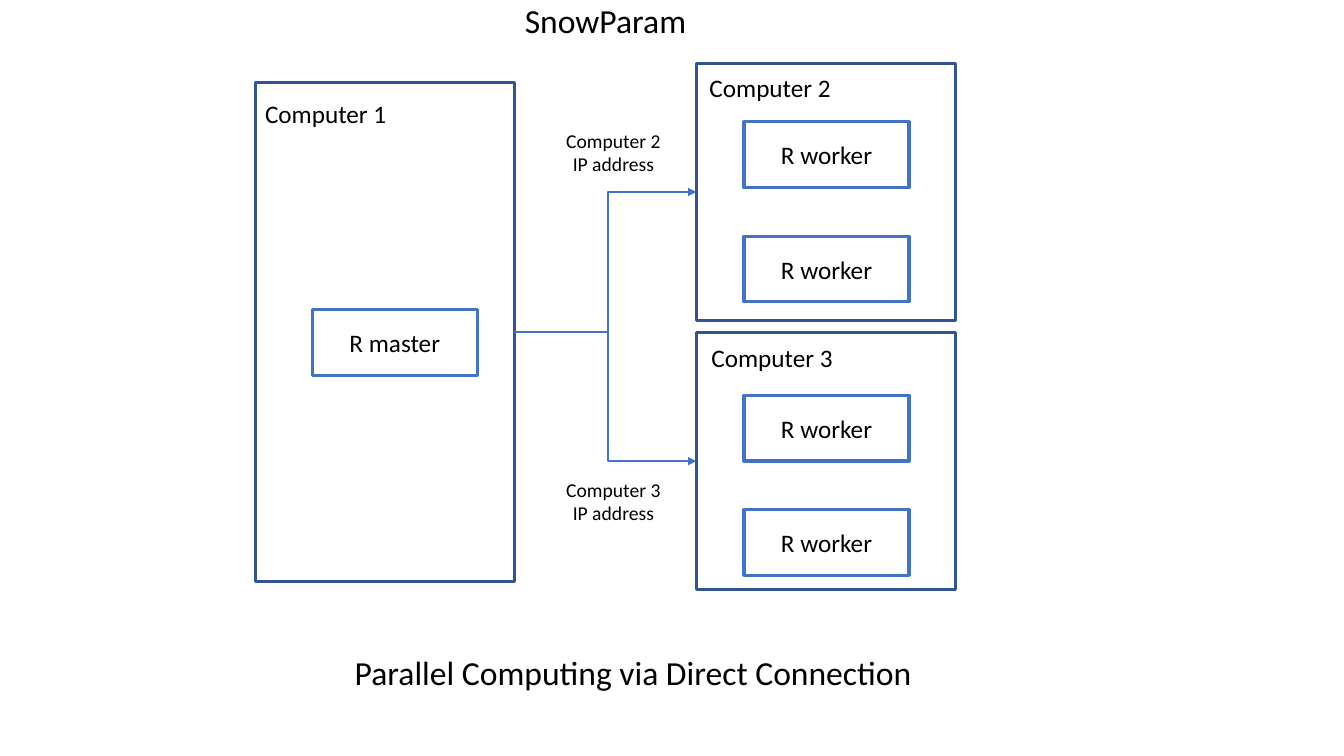
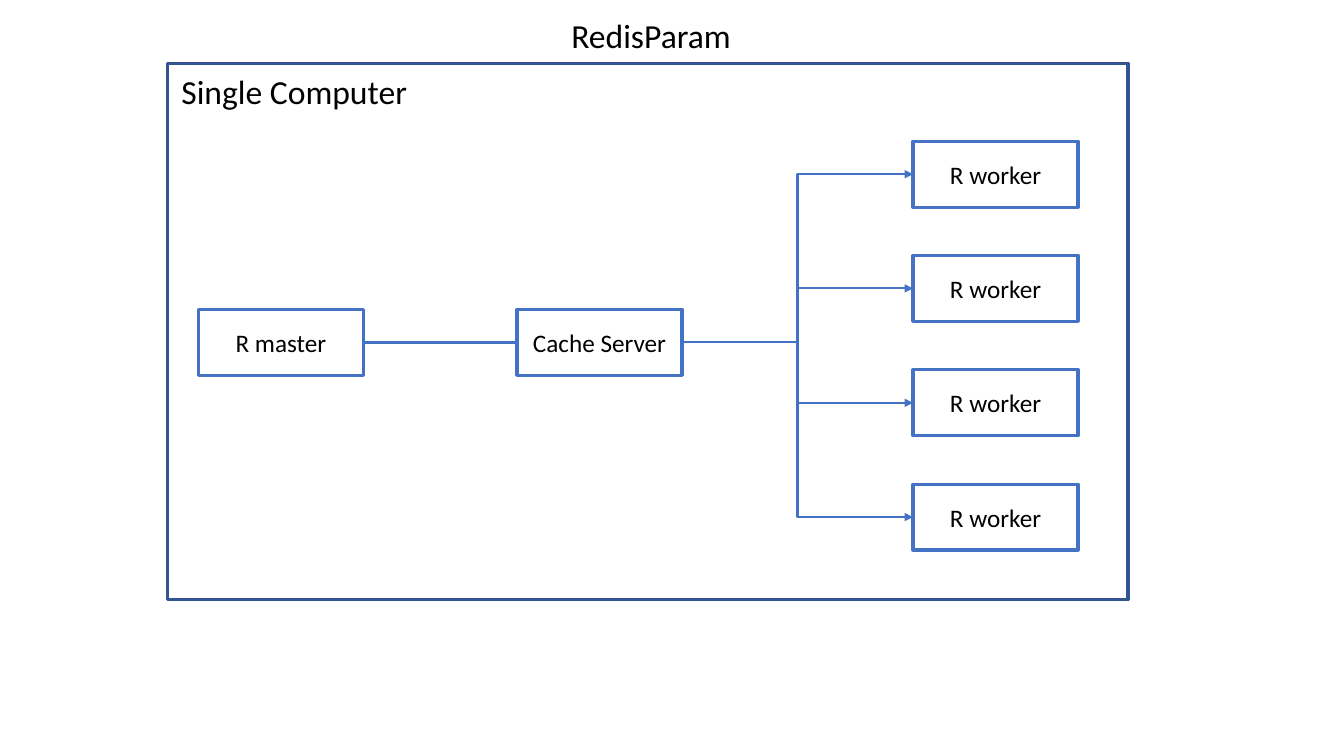
from dataclasses import dataclass

from lxml import etree
from pptx import Presentation
from pptx.dml.color import RGBColor
from pptx.enum import shapes, text
from pptx.oxml import ns
from pptx.shapes.autoshape import Shape
from pptx.shapes.connector import Connector
from pptx.slide import Slide
from pptx.util import Cm, Pt

# Shared style
FONT = "Calibri"
INK, PAPER = "000000", "FFFFFF"
NODE_LINE, COMPUTER_LINE = "4472C4", "325491"
HEADING, BODY, SMALL = 24, 18, 14
NODE_WIDTH, NODE_HEIGHT, WORKER_PITCH = 4.16, 1.66, 2.88
LABEL_HEIGHT, HEADING_HEIGHT, ADDRESS_HEIGHT = 1.02, 1.27, 1.45
LEFT_SITE, RIGHT_SITE = 1, 3
LEFT, CENTER = text.PP_ALIGN.LEFT, text.PP_ALIGN.CENTER


@dataclass(frozen=True)
class Box:
    """A rectangle in centimetres."""
    left: float
    top: float
    width: float
    height: float

    def lengths(self) -> tuple[Cm, Cm, Cm, Cm]:
        return Cm(self.left), Cm(self.top), Cm(self.width), Cm(self.height)


@dataclass(frozen=True)
class Label:
    wording: str
    box: Box
    size: int = BODY
    align: text.PP_ALIGN = LEFT
    wrap: bool = False


@dataclass(frozen=True)
class Host:
    """A computer running workers, with its name and address."""
    name: str
    box: Box
    name_left: float
    name_top: float
    address_top: float
    workers_top: float


def colour(value: str) -> RGBColor:
    return RGBColor.from_string(value)


def write(frame: text.MSO_ANCHOR, wording: str, size: int, align: text.PP_ALIGN) -> None:
    frame.text = wording
    for paragraph in frame.paragraphs:
        paragraph.alignment = align
        paragraph.font.name = FONT
        paragraph.font.size = Pt(size)
        paragraph.font.color.rgb = colour(INK)


def add_label(slide: Slide, label: Label) -> None:
    frame = slide.shapes.add_textbox(*label.box.lengths()).text_frame
    frame.word_wrap = label.wrap
    frame.auto_size = text.MSO_AUTO_SIZE.SHAPE_TO_FIT_TEXT
    write(frame, label.wording, label.size, label.align)


def add_rectangle(slide: Slide, box: Box, line: str) -> Shape:
    rectangle = slide.shapes.add_shape(shapes.MSO_SHAPE.RECTANGLE, *box.lengths())
    rectangle.shadow.inherit = False
    rectangle.line.color.rgb = colour(line)
    rectangle.line.width = Pt(2.25)
    return rectangle


def add_computer(slide: Slide, box: Box) -> Shape:
    computer = add_rectangle(slide, box, COMPUTER_LINE)
    computer.fill.background()
    return computer


def add_node(slide: Slide, wording: str, left: float, top: float) -> Shape:
    node = add_rectangle(slide, Box(left, top, NODE_WIDTH, NODE_HEIGHT), NODE_LINE)
    node.fill.solid()
    node.fill.fore_color.rgb = colour(PAPER)
    node.text_frame.vertical_anchor = text.MSO_ANCHOR.MIDDLE
    write(node.text_frame, wording, BODY, CENTER)
    return node


def add_workers(slide: Slide, count: int, left: float, top: float) -> list[Shape]:
    return [add_node(slide, "R worker", left, top + row * WORKER_PITCH)
            for row in range(count)]


def add_link(slide: Slide, source: Shape, target: Shape,
             kind: shapes.MSO_CONNECTOR) -> Connector:
    link = slide.shapes.add_connector(kind, 0, 0, 0, 0)
    link.begin_connect(source, RIGHT_SITE)
    link.end_connect(target, LEFT_SITE)
    link.line.color.rgb = colour(NODE_LINE)
    link.line.width = Pt(1.5)
    etree.SubElement(link._element.spPr, ns.qn("a:effectLst"))
    return link


def add_branch(slide: Slide, source: Shape, target: Shape, bend: float = 0.5) -> None:
    """Elbow arrow that turns at the given share of its width."""
    branch = add_link(slide, source, target, shapes.MSO_CONNECTOR.ELBOW)
    etree.SubElement(branch.line._get_or_add_ln(), ns.qn("a:tailEnd"), type="triangle")
    adjustments = branch._element.spPr.find(ns.qn("a:prstGeom")).get_or_add_avLst()
    etree.SubElement(adjustments, ns.qn("a:gd"), name="adj1",
                     fmla=f"val {round(bend * 100000)}")


def build_direct_connection(slide: Slide) -> None:
    add_label(slide, Label("SnowParam", Box(12.95, -0.13, 4.62, HEADING_HEIGHT),
                           HEADING, CENTER))
    add_label(slide, Label("Parallel Computing via Direct Connection",
                           Box(8.69, 16.31, 14.68, HEADING_HEIGHT), HEADING))

    # Master computer
    master_computer = add_computer(slide, Box(6.43, 2.08, 6.53, 12.57))
    add_label(slide, Label("Computer 1", Box(6.43, 2.36, 3.61, LABEL_HEIGHT)))
    add_node(slide, "R master", 7.87, 7.8)

    # Worker computers, each reached by its address
    hosts = [
        Host("Computer 2", Box(17.55, 1.6, 6.53, 6.48), 17.63, 1.7, 3.12, 3.07),
        Host("Computer 3", Box(17.55, 8.38, 6.53, 6.48), 17.68, 8.51, 11.91, 9.96),
    ]
    for host in hosts:
        computer = add_computer(slide, host.box)
        add_label(slide, Label(host.name, Box(host.name_left, host.name_top,
                                              3.61, LABEL_HEIGHT)))
        add_workers(slide, 2, 18.75, host.workers_top)
        add_branch(slide, master_computer, computer, bend=0.516)
        add_label(slide, Label(f"{host.name}\nIP address",
                               Box(13.34, host.address_top, 4.24, ADDRESS_HEIGHT),
                               SMALL, CENTER, wrap=True))


def build_server_connection(slide: Slide) -> None:
    add_label(slide, Label("RedisParam", Box(14.15, 0.25, 5.21, HEADING_HEIGHT),
                           HEADING, wrap=True))

    # Enclosing computer
    add_computer(slide, Box(4.22, 1.6, 24.21, 13.51))
    add_label(slide, Label("Single Computer", Box(4.29, 1.65, 6.25, HEADING_HEIGHT),
                           HEADING, CENTER))

    # Master, server and workers
    master = add_node(slide, "R master", 5, 7.8)
    server = add_node(slide, "Cache Server", 13.03, 7.8)
    add_link(slide, master, server, shapes.MSO_CONNECTOR.STRAIGHT)
    for worker in add_workers(slide, 4, 23.01, 3.56):
        add_branch(slide, server, worker)


def main() -> None:
    deck = Presentation()
    deck.slide_width, deck.slide_height = Cm(33.87), Cm(19.05)
    blank = deck.slide_layouts[6]
    for build in (build_direct_connection, build_server_connection):
        build(deck.slides.add_slide(blank))
    deck.save("out.pptx")


if __name__ == "__main__":
    main()
